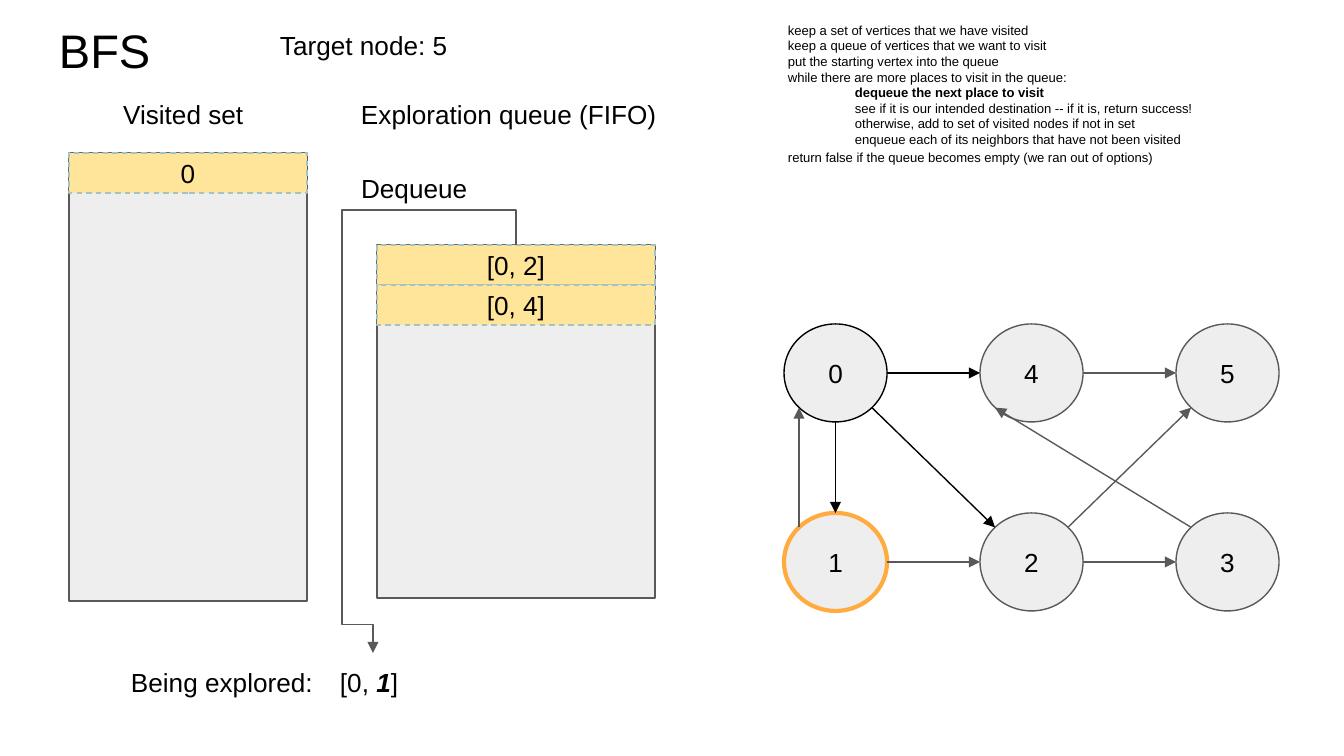
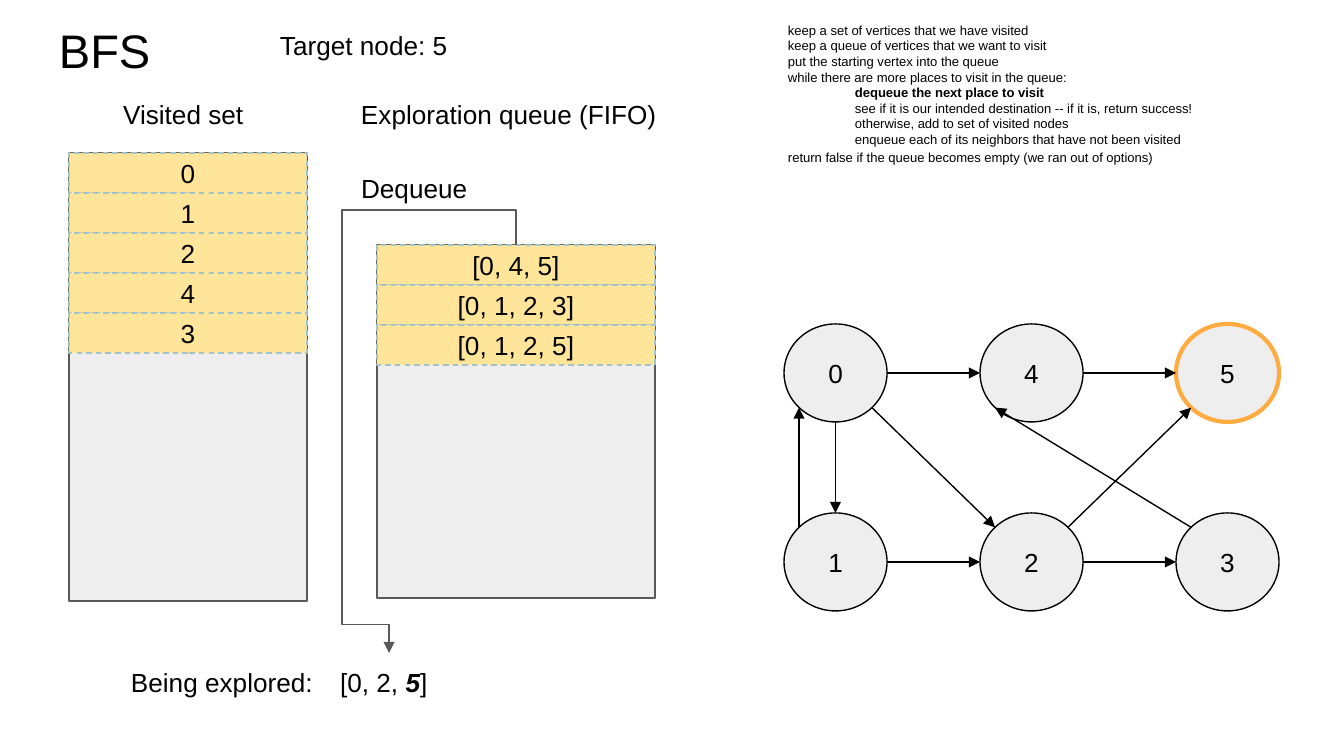
from math import sqrt

from lxml import etree
from pptx import Presentation
from pptx import util as u
from pptx.dml.color import RGBColor
from pptx.enum import dml, shapes, text
from pptx.oxml import ns

PX = 914400 / 134.4
FONT = "Arial"
COLORS = {
    "ink": "000000",
    "muted": "595959",
    "panel": "EEEEEE",
    "entry": "FFE599",
    "entry_edge": "A2C4C9",
    "current": "FFAB40",
}

LABELS = [
    ("BFS", (46, 9, 238, 85), 25.2),
    ("Target node: 5", (267, 16, 203, 59), 14),
    ("Visited set", (110, 85, 155, 59), 14),
    ("Exploration queue (FIFO)", (348, 85, 336, 59), 14),
    ("Dequeue", (348, 159, 146, 59), 14),
    ("Being explored:", (118, 653, 238, 59), 14),
]
VISITED_PANEL = (69, 153, 238, 448)
QUEUE_PANEL = (377, 245, 278, 353)
ENTRY_HEIGHT = 40

GRAPH_ROWS = ["045", "123"]
GRAPH_LEFT, GRAPH_TOP = 784, 324
COLUMN_STEP, ROW_STEP = 196, 189
NODE_WIDTH, NODE_HEIGHT = 103, 98
EDGES = [
    ("0", "S", "1", "N"),
    ("0", "E", "4", "W"),
    ("0", "SE", "2", "NW"),
    ("4", "E", "5", "W"),
    ("1", "E", "2", "W"),
    ("1", "NW", "0", "SW"),
    ("2", "E", "3", "W"),
    ("3", "NW", "4", "SW"),
    ("2", "NE", "5", "SW"),
]

BEFORE_LOOP = [
    "keep a set of vertices that we have visited",
    "keep a queue of vertices that we want to visit",
    "put the starting vertex into the queue",
    "while there are more places to visit in the queue:",
]
ACTIVE_STEP = "dequeue the next place to visit"
AFTER_LOOP = "return false if the queue becomes empty (we ran out of options)"

STATES = [
    {
        "visited": ["0"],
        "queue": ["[0, 2]", "[0, 4]"],
        "route": ["0", "1"],
        "route_width": 93,
        "add_step": "otherwise, add to set of visited nodes if not in set",
    },
    {
        "visited": ["0", "1", "2", "4", "3"],
        "queue": ["[0, 4, 5]", "[0, 1, 2, 3]", "[0, 1, 2, 5]"],
        "route": ["0", "2", "5"],
        "route_width": 124,
        "add_step": "otherwise, add to set of visited nodes",
    },
]


def px(length):
    return u.Emu(round(length * PX))


def rgb(name):
    return RGBColor.from_string(COLORS[name])


def style_font(font, size):
    font.name = FONT
    font.size = u.Pt(size)
    font.color.rgb = rgb("ink")


def set_margins(frame):
    frame.margin_left = frame.margin_right = px(13)
    frame.margin_top = frame.margin_bottom = px(13)


def add_text(page, place, words, size=14):
    box = page.shapes.add_textbox(*map(px, place))
    frame = box.text_frame
    frame.word_wrap = True
    set_margins(frame)
    frame.text = words
    for para in frame.paragraphs:
        style_font(para.font, size)
        for span in para.runs:
            style_font(span.font, size)
    return box


def add_figure(page, kind, place, fill, edge, weight=0.75, words=""):
    figure = page.shapes.add_shape(kind, *map(px, place))
    figure.shadow.inherit = False
    figure.fill.solid()
    figure.fill.fore_color.rgb = rgb(fill)
    figure.line.color.rgb = rgb(edge)
    figure.line.width = u.Pt(weight)
    if words:
        frame = figure.text_frame
        set_margins(frame)
        frame.vertical_anchor = text.MSO_ANCHOR.MIDDLE
        frame.text = words
        para = frame.paragraphs[0]
        para.alignment = text.PP_ALIGN.CENTER
        style_font(para.runs[0].font, 14)
    return figure


def add_arrow(page, kind, start, end, color):
    arrow = page.shapes.add_connector(kind, *map(px, start + end))
    arrow.line.color.rgb = rgb(color)
    arrow.line.width = u.Pt(0.75)
    etree.SubElement(arrow.line._get_or_add_ln(), ns.qn("a:tailEnd"), type="triangle")
    etree.SubElement(arrow._element.spPr, ns.qn("a:effectLst"))
    return arrow


def add_stack(page, panel, entries):
    """Draw a container with its entries piled from the top."""
    left, top, width, _ = panel
    rect = shapes.MSO_SHAPE.RECTANGLE
    container = add_figure(page, rect, panel, "panel", "muted")
    for row, words in enumerate(entries):
        place = (left, top + row * ENTRY_HEIGHT, width, ENTRY_HEIGHT)
        entry = add_figure(page, rect, place, "entry", "entry_edge", words=words)
        entry.line.dash_style = dml.MSO_LINE.DASH
    return container


def add_route(page, route, width):
    """Write the explored route with its last node emphasised."""
    lead = "[" + "".join(f"{node}, " for node in route[:-1])
    box = add_text(page, (327, 653, width, 59), lead)
    para = box.text_frame.paragraphs[0]
    for words, strong in ((route[-1], True), ("]", False)):
        span = para.add_run()
        span.text = words
        style_font(span.font, 14)
        span.font.bold = span.font.italic = strong
    return box


def add_dequeue_arrow(page, queue, route_box, route_width):
    """Lead from the top of the queue, around its left side, to the route."""
    start_x, start_y = 516, 245
    end_x, end_y = 327 + route_width // 2, 653
    rail_x, upper_y, lower_y = 342, 210, 625
    drop, shift = end_y - start_y, start_x - end_x

    arrow = add_arrow(page, shapes.MSO_CONNECTOR.ELBOW,
                      (start_x, start_y), (end_x, end_y), "muted")
    arrow.begin_connect(queue, 0)
    arrow.end_connect(route_box, 0)

    # A quarter turn makes the first and last segments vertical.
    xfrm = arrow._element.spPr.find(ns.qn("a:xfrm"))
    for flip in ("flipH", "flipV"):
        xfrm.attrib.pop(flip, None)
    xfrm.set("rot", str(90 * 60000))
    arrow.left = px((start_x + end_x - drop) / 2)
    arrow.top = px((start_y + end_y - shift) / 2)
    arrow.width, arrow.height = px(drop), px(shift)

    geometry = arrow._element.spPr.find(ns.qn("a:prstGeom"))
    geometry.set("prst", "bentConnector5")
    guides = geometry.find(ns.qn("a:avLst"))
    if guides is None:
        guides = etree.SubElement(geometry, ns.qn("a:avLst"))
    bends = [(upper_y - start_y) / drop, (start_x - rail_x) / shift,
             (lower_y - start_y) / drop]
    for number, bend in enumerate(bends, 1):
        etree.SubElement(guides, ns.qn("a:gd"), name=f"adj{number}",
                         fmla=f"val {round(bend * 100000)}")


def node_places():
    return {
        name: (GRAPH_LEFT + column * COLUMN_STEP, GRAPH_TOP + row * ROW_STEP,
               NODE_WIDTH, NODE_HEIGHT)
        for row, names in enumerate(GRAPH_ROWS)
        for column, name in enumerate(names)
    }


def rim_point(place, side):
    """Find the point of a node's rim in a compass direction."""
    left, top, width, height = place
    reach = 1 / sqrt(len(side))
    across = ("E" in side) - ("W" in side)
    down = ("S" in side) - ("N" in side)
    return (left + width / 2 * (1 + across * reach),
            top + height / 2 * (1 + down * reach))


def add_graph(page, visited, current):
    places = node_places()
    for name, place in places.items():
        edge, weight = ("ink" if name in visited else "muted"), 0.75
        if name == current:
            edge, weight = "current", 2.25
        add_figure(page, shapes.MSO_SHAPE.OVAL, place, "panel", edge, weight, name)
    for source, source_side, target, target_side in EDGES:
        add_arrow(page, shapes.MSO_CONNECTOR.STRAIGHT,
                  rim_point(places[source], source_side),
                  rim_point(places[target], target_side),
                  "ink" if source in visited else "muted")


def add_pseudocode(page, add_step):
    loop = [
        ACTIVE_STEP,
        "see if it is our intended destination -- if it is, return success!",
        add_step,
        "enqueue each of its neighbors that have not been visited",
    ]
    lines = BEFORE_LOOP + loop + [AFTER_LOOP]
    box = add_text(page, (775, 9, 478, 169), "\n".join(lines), 7)
    paras = box.text_frame.paragraphs
    for para in paras:
        if para.text in loop:
            para._p.get_or_add_pPr().set("marL", str(px(67)))
        if para.text == ACTIVE_STEP:
            para.runs[0].font.bold = True
    paras[-1].line_spacing = 1.15


def add_state(deck, state):
    page = deck.slides.add_slide(deck.slide_layouts[6])
    for words, place, size in LABELS:
        add_text(page, place, words, size)
    add_stack(page, VISITED_PANEL, state["visited"])
    queue = add_stack(page, QUEUE_PANEL, state["queue"])
    route_box = add_route(page, state["route"], state["route_width"])
    add_dequeue_arrow(page, queue, route_box, state["route_width"])
    add_graph(page, state["visited"], state["route"][-1])
    add_pseudocode(page, state["add_step"])


def main():
    deck = Presentation()
    deck.slide_width, deck.slide_height = px(1344), px(756)
    for state in STATES:
        add_state(deck, state)
    deck.save("out.pptx")


if __name__ == "__main__":
    main()
